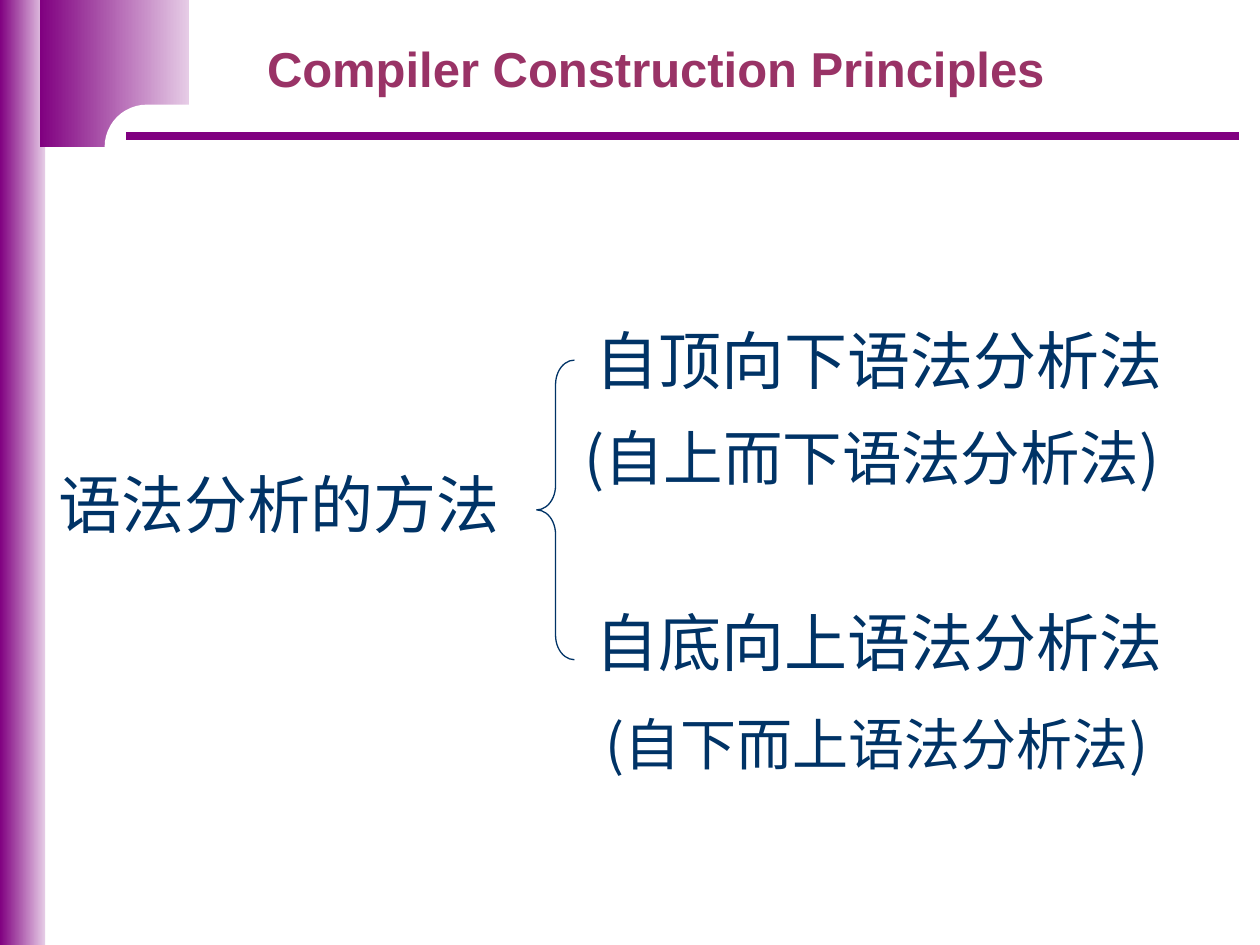
from lxml.etree import SubElement
from pptx import Presentation
from pptx.dml.color import RGBColor
from pptx.enum.shapes import MSO_CONNECTOR as Connector, MSO_SHAPE as Shape
from pptx.enum.text import MSO_ANCHOR as Anchor, PP_ALIGN as Align
from pptx.oxml.ns import qn
from pptx.util import Cm, Pt

COLORS = {
    "purple": "800080",
    "lilac": "E6CCE6",
    "white": "FFFFFF",
    "title": "993366",
    "text": "003366",
}


def color(name):
    return RGBColor.from_string(COLORS[name])


def write_text(shape, text, size=36, font="Arial", fill="text", bold=False,
               align=Align.LEFT, wrap=True):
    frame = shape.text_frame
    frame.word_wrap = wrap
    frame.vertical_anchor = Anchor.TOP
    frame.margin_left = frame.margin_right = Cm(0.25)
    frame.margin_top = frame.margin_bottom = Cm(0.13)
    paragraph = frame.paragraphs[0]
    paragraph.alignment = align
    run = paragraph.add_run()
    run.text = text
    run.font.size = Pt(size)
    run.font.name = font
    run.font.bold = bold
    run.font.color.rgb = color(fill)


class SlideBuilder:
    def __init__(self, presentation):
        self.slide = presentation.slides.add_slide(presentation.slide_layouts[5])
        self.shapes = self.slide.shapes

    def shape(self, kind, left, top, width, height, adjustments=()):
        shape = self.shapes.add_shape(kind, Cm(left), Cm(top), Cm(width), Cm(height))
        shape.shadow.inherit = False
        for index, value in enumerate(adjustments):
            shape.adjustments[index] = value
        return shape

    def gradient_bar(self, left, top, width, height):
        bar = self.shape(Shape.RECTANGLE, left, top, width, height)
        bar.line.fill.background()
        bar.fill.gradient()
        bar.fill.gradient_angle = 0
        for stop, name, position in zip(bar.fill.gradient_stops, ("purple", "lilac"), (0, 1)):
            stop.color.rgb = color(name)
            stop.position = position

    def rounded_mask(self, left, top, width, height):
        mask = self.shape(Shape.ROUNDED_RECTANGLE, left, top, width, height, (0.5,))
        mask.fill.solid()
        mask.fill.fore_color.rgb = color("white")
        mask.line.fill.background()

    def brace(self, left, top, width, height):
        brace = self.shape(Shape.LEFT_BRACE, left, top, width, height, (0.65, 0.5))
        brace.fill.background()
        brace.line.color.rgb = color("text")
        brace.line.width = Pt(0.75)

    def rule(self, left, right, top, width):
        rule = self.shapes.add_connector(
            Connector.STRAIGHT, Cm(left), Cm(top), Cm(right), Cm(top))
        rule.line.color.rgb = color("purple")
        rule.line.width = Pt(width)
        SubElement(rule._element.spPr, qn("a:effectLst"))

    def title(self, text, left, top, width, height):
        title = self.shapes.title
        title.left, title.top, title.width, title.height = map(Cm, (left, top, width, height))
        write_text(title, text, size=28, fill="title", bold=True, align=Align.CENTER)

    def label(self, text, left, top, width, height, **style):
        box = self.shapes.add_textbox(Cm(left), Cm(top), Cm(width), Cm(height))
        write_text(box, text, **style)


def main():
    presentation = Presentation()
    presentation.slide_width, presentation.slide_height = Cm(25.4), Cm(19.05)
    builder = SlideBuilder(presentation)

    builder.gradient_bar(0, 0, 0.91, 19.05)
    builder.gradient_bar(0.81, 0, 3, 2.97)
    builder.rounded_mask(2.11, 2.11, 14.17, 1.7)
    builder.rule(2.54, 24.97, 2.74, 4.5)
    builder.title("Compiler Construction Principles", 4.85, 0.64, 16.74, 1.45)

    builder.label("语法分析的方法", 0.94, 9.25, 9.75, 1.78)
    builder.brace(10.82, 7.26, 0.76, 6.04)
    for method, top in (("自顶向下语法分析法", 6.35), ("自底向上语法分析法", 12.04)):
        builder.label(method, 11.76, top, 11.94, 1.78, wrap=False)
    for alias, left, top, width, height, size in (
        ("(自上而下语法分析法)", 11.53, 8.36, 12.57, 1.7, 34),
        ("(自下而上语法分析法)", 11.96, 14.17, 11.89, 1.63, 32),
    ):
        builder.label(alias, left, top, width, height, size=size, font="Noto Sans CJK SC")

    presentation.save("out.pptx")


if __name__ == "__main__":
    main()
